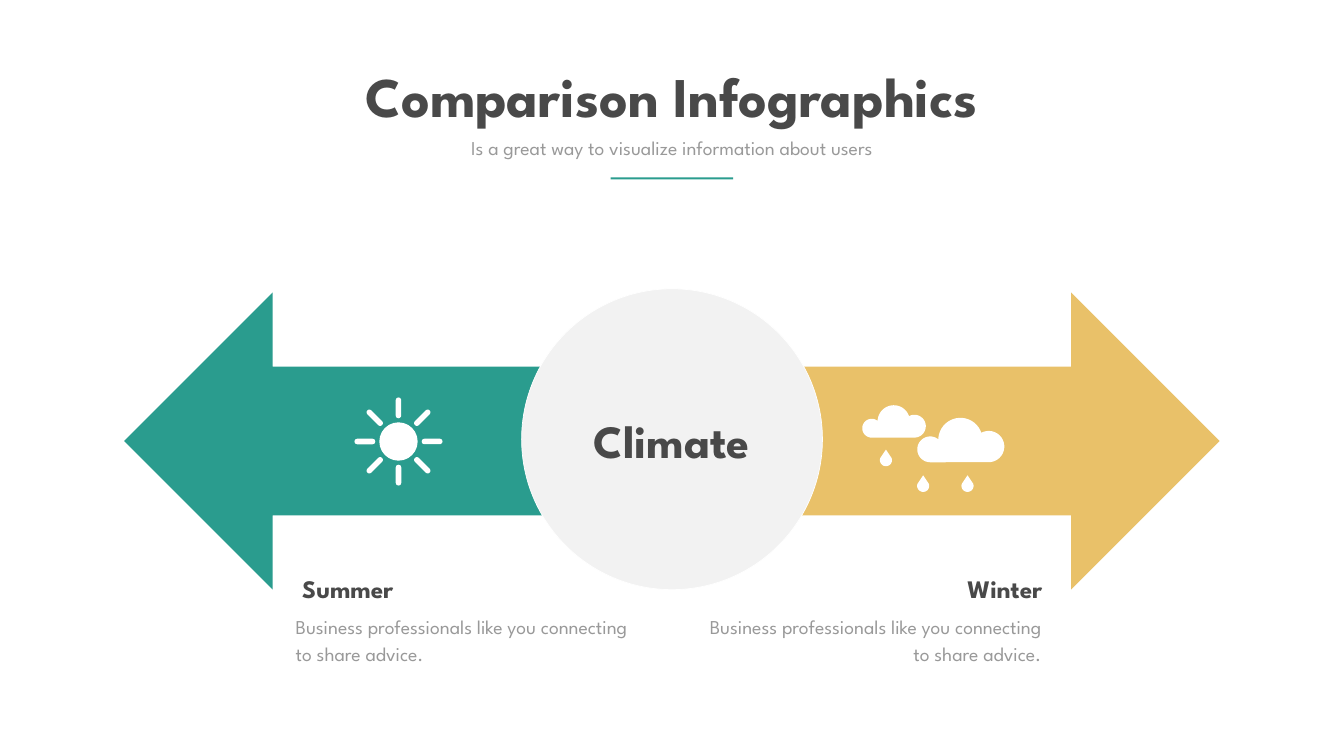
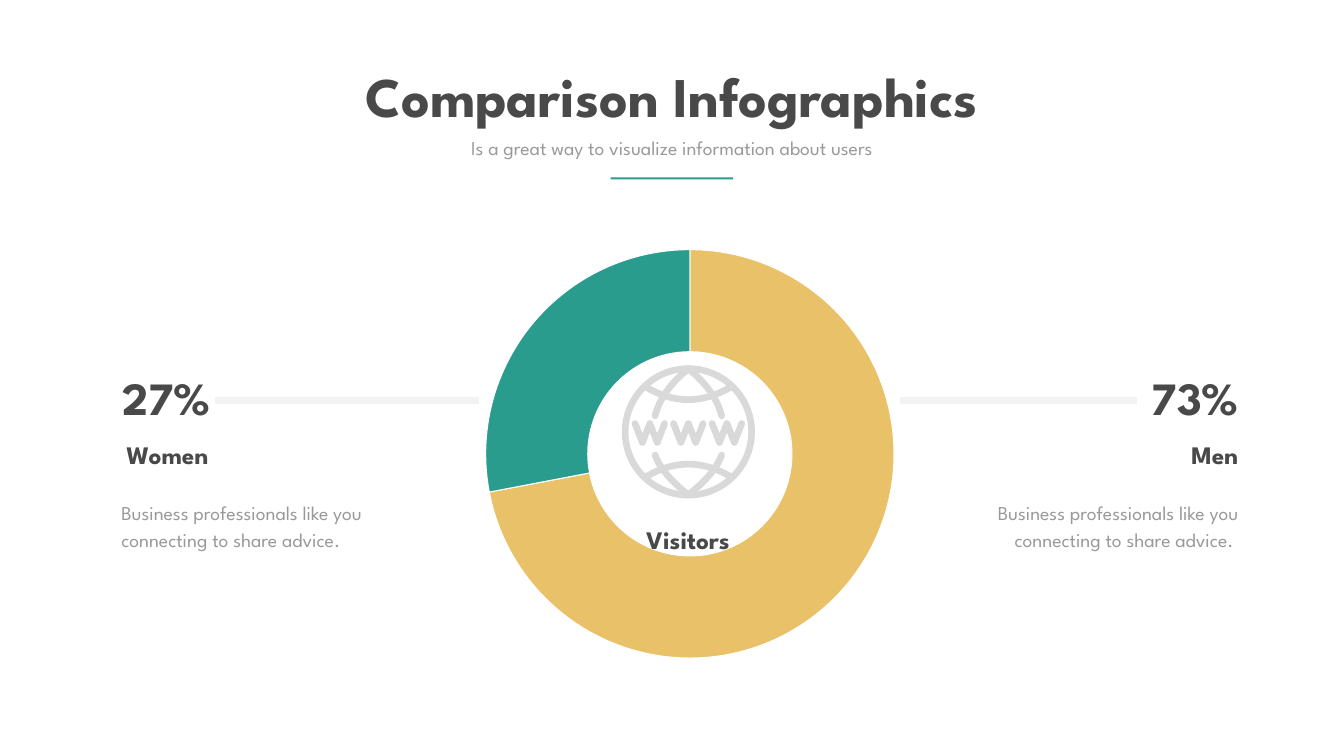
from math import cos, sin, radians
from lxml import etree
from pptx import Presentation
from pptx import util as u
from pptx.chart.data import CategoryChartData
from pptx.dml.color import RGBColor
from pptx.enum import chart as charts, shapes, text
from pptx.oxml import ns

FONT = "League Spartan"
TEAL, GOLD, PALE, WHITE = "2A9C8E", "E9C169", "F2F2F2", "FFFFFF"
DARK, GREY, GLOBE = "494949", "999999", "D9D9D9"
LEFT, CENTER, RIGHT = text.PP_ALIGN.LEFT, text.PP_ALIGN.CENTER, text.PP_ALIGN.RIGHT
SHAPE = shapes.MSO_SHAPE
rgb = RGBColor.from_string
ADVICE = "Business professionals like you connecting to share advice."

prs = Presentation()
prs.slide_width, prs.slide_height = u.Inches(26.67), u.Inches(15)

# Grid of 100 columns by 100 rows; icons are measured in rows both ways
col, row = prs.slide_width / 100, prs.slide_height / 100


def paint(sp, fill, line=None, width=1):
    sp.shadow.inherit = False
    if fill:
        sp.fill.solid()
        sp.fill.fore_color.rgb = rgb(fill)
    else:
        sp.fill.background()
    if line:
        sp.line.color.rgb = rgb(line)
        sp.line.width = u.Pt(width)
    else:
        sp.line.fill.background()


def label(s, x, y, w, h, words, size, align=LEFT, color=DARK, wrap=True, spacing=None):
    tf = s.shapes.add_textbox(int(x * col), int(y * row), int(w * col), int(h * row)).text_frame
    tf.word_wrap = wrap
    tf.auto_size = text.MSO_AUTO_SIZE.SHAPE_TO_FIT_TEXT
    p = tf.paragraphs[0]
    p.text, p.alignment = words, align
    if spacing:
        p.line_spacing = u.Pt(spacing)
    p.font.name, p.font.size = FONT, u.Pt(size)
    p.font.bold = color == DARK
    p.font.color.rgb = rgb(color)


# Shared heading
climate, visitors = [prs.slides.add_slide(prs.slide_layouts[6]) for _ in range(2)]
for s in (climate, visitors):
    label(s, 23.28, 7.8, 53.36, 9.67, "Comparison Infographics", 80, CENTER, wrap=False)
    label(s, 32.06, 17.67, 35.85, 3.8, "Is a great way to visualize information about users",
          28, CENTER, GREY)
    sp = s.shapes.add_shape(SHAPE.RECTANGLE, int(45.44 * col), int(23.47 * row),
                            int(9.11 * col), int(0.27 * row))
    paint(sp, TEAL)

# Climate: arrows and hub
s = climate
for x, turn, color in ((50, 0, GOLD), (9.23, 180, TEAL)):
    sp = s.shapes.add_shape(SHAPE.RIGHT_ARROW, int(x * col), int(38.67 * row),
                            int(40.75 * col), int(39.33 * row))
    sp.rotation = turn
    paint(sp, color)
sp = s.shapes.add_shape(SHAPE.OVAL, int(38.81 * col), int(38.2 * row),
                        int(39.8 * row), int(39.8 * row))
paint(sp, PALE, WHITE)
label(s, 43.01, 54.27, 13.95, 8.07, "Climate", 66, CENTER, wrap=False)

# Climate: seasons
for x, body_x, season, align in ((22.12, 21.63, "Summer", LEFT), (57.11, 52.23, "Winter", RIGHT)):
    label(s, x, 75.53, 20.81, 4.73, season, 36, align)
    label(s, body_x, 80.6, 25.61, 7.87, ADVICE, 28, align, GREY, spacing=38.6)

# Climate: sun with eight rays
sun_x, sun_y, disc = 29.65 * col, 58.4 * row, 5.07 * row
sp = s.shapes.add_shape(SHAPE.OVAL, int(sun_x - disc / 2), int(sun_y - disc / 2),
                        int(disc), int(disc))
paint(sp, WHITE)
ray, thick, reach = 2.75 * row, 0.73 * row, 4.45 * row
for turn in range(0, 360, 45):
    x, y = sun_x + reach * cos(radians(turn)), sun_y + reach * sin(radians(turn))
    sp = s.shapes.add_shape(SHAPE.ROUNDED_RECTANGLE, int(x - ray / 2), int(y - thick / 2),
                            int(ray), int(thick))
    sp.adjustments[0] = 0.5
    sp.rotation = turn
    paint(sp, WHITE)

# Climate: clouds and drops, each outline made of arcs (centre, radius, from, to)
cloud_arcs = ((9.47, 3.8, 2.07, 90, -119), (5.73, 2.93, 2.93, -19, -180),
              (1.73, 4.17, 1.71, -52, -270))
cloud = [(cx + r * cos(radians(a + (b - a) * i / 20)), cy + r * sin(radians(a + (b - a) * i / 20)))
         for cx, cy, r, a, b in cloud_arcs for i in range(21)]
drop = [(0.8, 0)] + [(0.8 + 0.8 * cos(radians(a)), 1.4 + 0.8 * sin(radians(a)))
                     for a in range(-20, 201, 10)]
for outline, x, y, scale in ((cloud, 64.15, 53.6, 0.73), (cloud, 68.24, 55.27, 1),
                             (drop, 65.47, 59.47, 1), (drop, 68.24, 62.87, 1),
                             (drop, 71.54, 62.87, 1)):
    pts = [(x * col + px * scale * row, y * row + py * scale * row) for px, py in outline]
    fb = s.shapes.build_freeform(*pts[0])
    fb.add_line_segments(pts[1:])
    paint(fb.convert_to_shape(), WHITE)

# Visitors: doughnut
s = visitors
data = CategoryChartData()
data.categories = ["1", "2"]
data.add_series("Series 1", (72, 28))
chart = s.shapes.add_chart(charts.XL_CHART_TYPE.DOUGHNUT, int(35.62 * col), int(28.8 * row),
                           int(31.42 * col), int(62.47 * row), data).chart
chart.has_legend = chart.has_title = False
chart.font.name, chart.font.size = "Manrope", u.Pt(20)
chart.font.color.rgb = rgb(GREY)
plot = chart.plots[0]
plot.vary_by_categories = True
plot._element.find(ns.qn("c:holeSize")).set("val", "75")
for i, color in enumerate((GOLD, TEAL)):
    fmt = plot.series[0].points[i].format
    fmt.fill.solid()
    fmt.fill.fore_color.rgb = rgb(color)
    fmt.line.color.rgb = rgb(WHITE)
    fmt.line.width = u.Pt(1.5)

# Visitors: leader lines
for x1, x2 in ((35.62, 16.01), (84.63, 67)):
    ln = s.shapes.add_connector(shapes.MSO_CONNECTOR.STRAIGHT, int(x1 * col), int(52.93 * row),
                                int(x2 * col), int(52.93 * row))
    ln.line.color.rgb = rgb(PALE)
    ln.line.width = u.Pt(10)
    etree.SubElement(ln._element.spPr, ns.qn("a:effectLst"))

# Visitors: shares
label(s, 8.55, 48.53, 7.65, 8.07, "27%", 66, CENTER, wrap=False)
label(s, 84.89, 48.53, 7.65, 8.07, "73%", 66, RIGHT, wrap=False)
for x, body_x, group, body, align in ((9.04, 8.66, "Women", ADVICE, LEFT),
                                      (68.47, 69.55, "Men", ADVICE + " ", RIGHT)):
    label(s, x, 57.8, 24.03, 4.73, group, 36, align)
    label(s, body_x, 65.47, 22.95, 7.87, body, 28, align, GREY, spacing=38.6)

# Visitors: globe strokes, in rows from its centre; curves are (start, control, end)
strokes = [[(8.37 * cos(radians(a)), 8.37 * sin(radians(a))) for a in range(0, 361, 5)]]
curves = []
for side, tip in ((-1, 2.13), (1, 3.07)):
    curves.append(((-5.6, side * 5.93), (0, side * 2.6), (5.6, side * 5.93)))
    curves += [((0, side * 8.33), (m * 3.53, side * 5.53), (m * 4.4, side * tip)) for m in (-1, 1)]
for a, b, c in curves:
    strokes.append([tuple((1 - t) ** 2 * a[k] + 2 * t * (1 - t) * b[k] + t * t * c[k]
                          for k in (0, 1)) for t in [i / 16 for i in range(17)]])
for w in (-5.1, 0, 5.1):
    strokes.append([(w + 0.98 * i, 1.4 if i % 2 else -1.1) for i in range(-2, 3)])
fb = None
for stroke in strokes:
    pts = [(51.22 * col + x * row, 57.13 * row + y * row) for x, y in stroke]
    if fb is None:
        fb = s.shapes.build_freeform(*pts[0])
    else:
        fb.move_to(*pts[0])
    fb.add_line_segments(pts[1:], close=False)
sp = fb.convert_to_shape()
paint(sp, None, GLOBE, 9.5)
ln = sp.line._get_or_add_ln()
ln.set("cap", "rnd")
etree.SubElement(ln, ns.qn("a:round"))
label(s, 39.18, 69, 24.03, 4.73, "Visitors", 36, CENTER)

prs.save("out.pptx")
